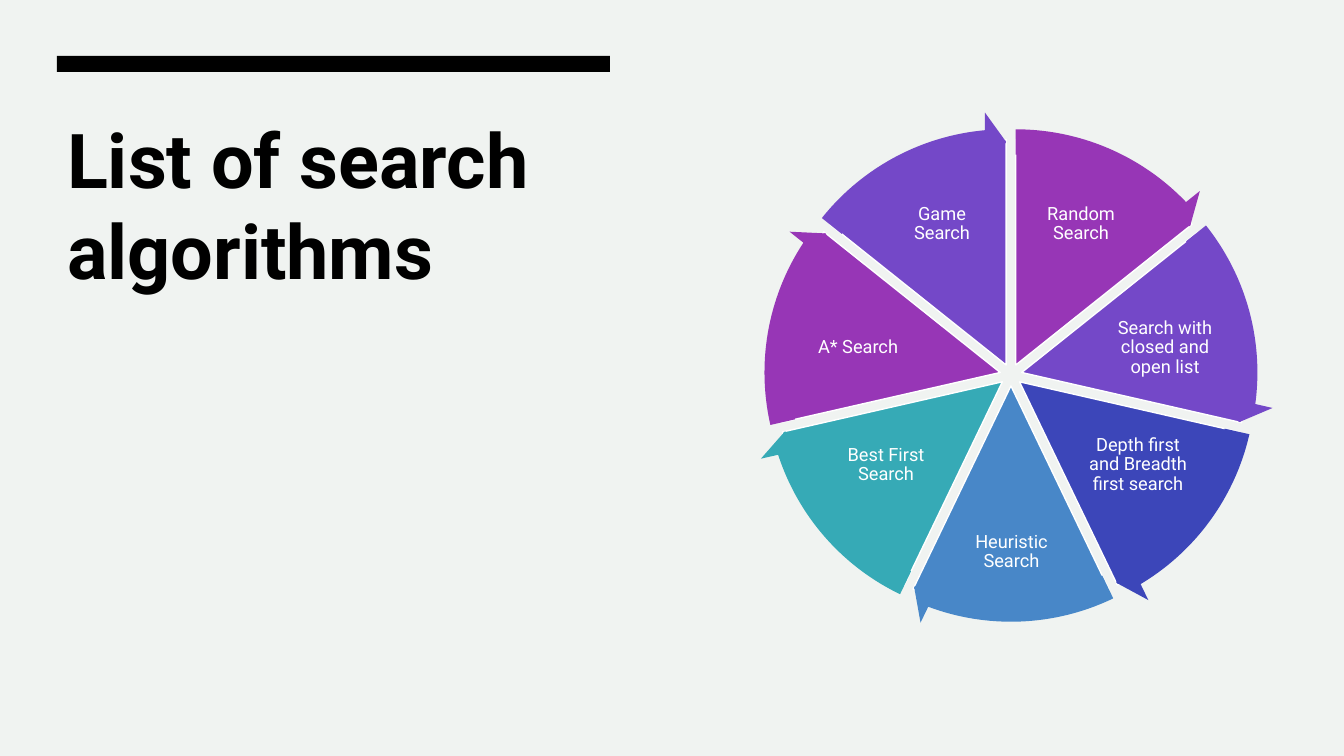
from math import cos, pi, sin

from pptx import Presentation
from pptx import util as u
from pptx.dml.color import RGBColor
from pptx.enum import shapes, text

PX = 914400 / 100.8
FONT = "Roboto"
COLORS = {
    "paper": "F0F3F1", "black": "000000", "white": "FFFFFF",
    "purple": "9736B6", "violet": "7448C8", "indigo": "3C46B9",
    "blue": "4887C8", "teal": "36AAB6",
}
CENTER_X, CENTER_Y = 1011, 375
PIE_SIZE, ARROW_SIZE, SPREAD = 451, 507, 11
FULL_TURN, TOP, ARROW_GAP = 216, 162, 3.28
ALGORITHMS = [
    ("Random Search", "purple", (1027, 181, 108, 86)),
    ("Search with closed and open list", "violet", (1103, 310, 124, 76)),
    ("Depth first and Breadth first search", "indigo", (1084, 423, 108, 84)),
    ("Heuristic Search", "blue", (959, 514, 105, 76)),
    ("Best First Search", "teal", (832, 423, 108, 84)),
    ("A* Search", "purple", (796, 310, 124, 76)),
    ("Game Search", "violet", (888, 181, 108, 86)),
]


def px(*lengths):
    return [u.Emu(round(n * PX)) for n in lengths]


def rgb(name):
    return RGBColor.from_string(COLORS[name])


def set_all(obj, values):
    for name, value in values.items():
        setattr(obj, name, value)


def write(tf, words, size, color, bold, frame, para):
    set_all(tf, {"word_wrap": True, "auto_size": text.MSO_AUTO_SIZE.NONE, **frame})
    p = tf.paragraphs[0]
    set_all(p, para)
    r = p.add_run()
    r.text = words
    set_all(r.font, {"name": FONT, "size": u.Pt(size), "bold": bold})
    r.font.color.rgb = rgb(color)


def add_title(s, words, box):
    sp = s.shapes.title
    set_all(sp, dict(zip(("left", "top", "width", "height"), px(*box))))
    write(sp.text_frame, words, 54, "black", True,
          {"vertical_anchor": text.MSO_ANCHOR.TOP},
          {"alignment": text.PP_ALIGN.LEFT, "line_spacing": 1.0})


def add_filled(parent, kind, box, color, adjustments=(), outline=None):
    sp = parent.shapes.add_shape(kind, *px(*box))
    sp.shadow.inherit = False
    for i, value in enumerate(adjustments):
        sp.adjustments[i] = value
    sp.fill.solid()
    sp.fill.fore_color.rgb = rgb(color)
    if outline:
        sp.line.color.rgb = rgb(outline)
        sp.line.width = u.Pt(1)
    else:
        sp.line.fill.background()


def add_label(parent, words, box):
    tf = parent.shapes.add_textbox(*px(*box)).text_frame
    insets = {f"margin_{side}": u.Inches(0.02)
              for side in ("left", "top", "right", "bottom")}
    write(tf, words, 13, "white", False,
          {"vertical_anchor": text.MSO_ANCHOR.MIDDLE, **insets},
          {"alignment": text.PP_ALIGN.CENTER, "line_spacing": 0.9})


def segment(i):
    step = FULL_TURN / len(ALGORITHMS)
    start = TOP + i * step
    middle = (start + step / 2) * 2 * pi / FULL_TURN
    x = CENTER_X + SPREAD * cos(middle)
    y = CENTER_Y + SPREAD * sin(middle)
    return x, y, start % FULL_TURN, (start + step) % FULL_TURN


def square(x, y, size):
    return x - size / 2, y - size / 2, size, size


def add_cycle(s):
    cycle = s.shapes.add_group_shape()
    for i, (words, color, label_box) in enumerate(ALGORITHMS):
        x, y, start, end = segment(i)
        add_filled(cycle, shapes.MSO_SHAPE.PIE, square(x, y, PIE_SIZE),
                   color, (start, end), "white")
        add_label(cycle, words, label_box)
    for i, (words, color, label_box) in enumerate(ALGORITHMS):
        x, y, start, end = segment(i)
        add_filled(cycle, shapes.MSO_SHAPE.CIRCULAR_ARROW,
                   square(x, y, ARROW_SIZE), color,
                   (0.05, 3.28, end - ARROW_GAP, start, 0.06))


def main():
    prs = Presentation()
    prs.slide_width, prs.slide_height = px(1344, 756)
    s = prs.slides.add_slide(prs.slide_layouts.get_by_name("Title Only"))
    s.background.fill.solid()
    s.background.fill.fore_color.rgb = rgb("paper")
    add_title(s, "List of search algorithms", (57, 108, 553, 229))
    add_filled(s, shapes.MSO_SHAPE.RECTANGLE, (57, 56, 553, 16), "black")
    add_cycle(s)
    prs.save("out.pptx")


if __name__ == "__main__":
    main()
